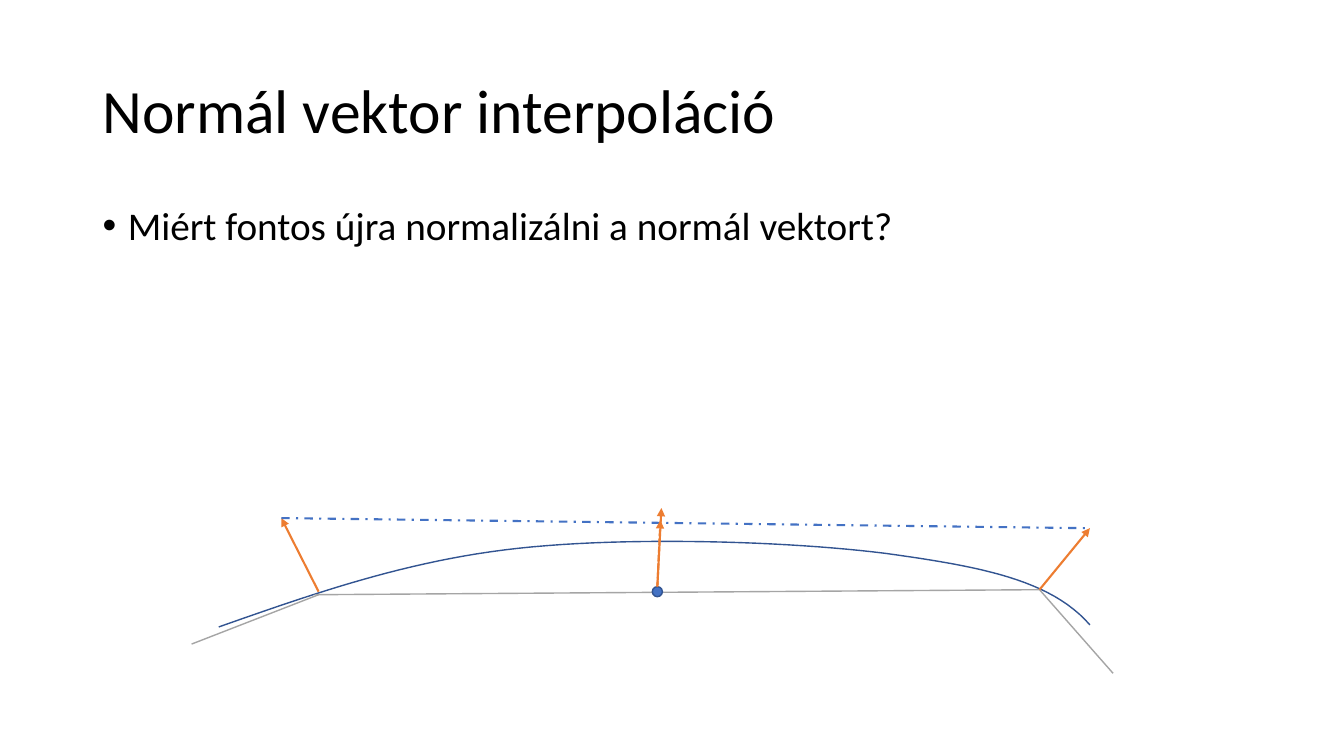
import pptx
import pptx.dml.color
import pptx.enum.dml
import pptx.enum.shapes
import pptx.enum.text
import pptx.oxml
import pptx.oxml.ns
import pptx.util

Inches = pptx.util.Inches
Dash = pptx.enum.dml.MSO_LINE
Anchor = pptx.enum.text.MSO_ANCHOR

COLORS = {
    "text": "000000",
    "surface": "325491",
    "facet": "A5A5A5",
    "normal": "ED7D31",
    "blend": "4472C4",
}
FRAME = {"word_wrap": True}
FONT = {"name": "Calibri"}
CURVE_STEPS = 24


def color(name):
    return pptx.dml.color.RGBColor.from_string(COLORS[name])


def apply(target, values):
    for attribute, value in values.items():
        setattr(target, attribute, value)


def add_element(parent, tag, **attributes):
    element = pptx.oxml.parse_xml(f"<a:{tag} {pptx.oxml.ns.nsdecls('a')}/>")
    for key, value in attributes.items():
        element.set(key, value)
    parent.append(element)


def add_words(slide, box, words, size, anchor, bullet=None):
    frame = slide.shapes.add_textbox(*map(Inches, box)).text_frame
    apply(frame, {**FRAME, "vertical_anchor": anchor})
    paragraph = frame.paragraphs[0]
    paragraph.text = words
    paragraph.line_spacing = 0.9
    if bullet:
        properties = paragraph._p.get_or_add_pPr()
        indents = {"marL": Inches(0.25), "indent": Inches(-0.25)}
        for key, value in indents.items():
            properties.set(key, str(value))
        add_element(properties, "buFont", typeface="Arial")
        add_element(properties, "buChar", char=bullet)
    apply(paragraph.font, {**FONT, "size": pptx.util.Pt(size)})
    paragraph.font.color.rgb = color("text")


def style_line(line, name, width, dash=None):
    line.color.rgb = color(name)
    apply(line, {"width": pptx.util.Pt(width), "dash_style": dash})


def add_segment(slide, start, end, name, width, dash=None, arrow=False):
    segment = slide.shapes.add_connector(
        pptx.enum.shapes.MSO_CONNECTOR.STRAIGHT, *map(Inches, (*start, *end)))
    style_line(segment.line, name, width, dash)
    if arrow:
        add_element(segment.line._get_or_add_ln(), "tailEnd", type="triangle")
    add_element(segment._element.spPr, "effectLst")


def bezier_point(controls, t):
    weights = ((1 - t) ** 3, 3 * t * (1 - t) ** 2, 3 * t * t * (1 - t), t ** 3)
    return tuple(Inches(sum(w * p[axis] for w, p in zip(weights, controls)))
                 for axis in (0, 1))


def add_surface(slide, controls):
    points = [bezier_point(controls[:4], 0)]
    for first in range(0, len(controls) - 1, 3):
        points += [bezier_point(controls[first:first + 4], step / CURVE_STEPS)
                   for step in range(1, CURVE_STEPS + 1)]
    builder = slide.shapes.build_freeform(*points[0])
    builder.add_line_segments(points[1:], close=False)
    surface = builder.convert_to_shape()
    surface.shadow.inherit = False
    surface.fill.background()
    style_line(surface.line, "surface", 1)


def add_sample(slide, center, diameter):
    x, y = center
    sample = slide.shapes.add_shape(
        pptx.enum.shapes.MSO_SHAPE.OVAL,
        *map(Inches, (x - diameter / 2, y - diameter / 2, diameter, diameter)))
    sample.shadow.inherit = False
    sample.fill.solid()
    sample.fill.fore_color.rgb = color("blend")
    style_line(sample.line, "surface", 1)


def add_diagram(slide, left, top):
    def at(x, y):
        return left + x, top + y

    left_vertex, right_vertex = at(1.26, 0.86), at(8.41, 0.81)
    left_tip, right_tip = at(0.89, 0.1), at(8.91, 0.2)
    sample_base = at(4.62, 0.78)

    add_surface(slide, [at(*point) for point in (
        (0.27, 1.18), (1.21, 0.85), (2.14, 0.52), (3.24, 0.4), (4.34, 0.28),
        (5.93, 0.33), (6.88, 0.45), (7.82, 0.58), (8.52, 0.71), (8.91, 1.16))])
    for start, end in ((at(1.22, 0.86), right_vertex),
                       (right_vertex, at(9.14, 1.64)),
                       (left_vertex, at(0, 1.35))):
        add_segment(slide, start, end, "facet", 1)
    for start, end in ((at(1.26, 0.83), left_tip), (right_vertex, right_tip)):
        add_segment(slide, start, end, "normal", 1.5, arrow=True)
    add_sample(slide, at(4.62, 0.83), 0.1)
    add_segment(slide, left_tip, at(8.87, 0.2), "blend", 1.5, Dash.DASH_DOT)
    for tip, dash in ((at(4.65, 0.12), Dash.SQUARE_DOT), (at(4.66, 0), None)):
        add_segment(slide, sample_base, tip, "normal", 1.5, dash, True)


def main():
    deck = pptx.Presentation()
    apply(deck, {"slide_width": Inches(13.33), "slide_height": Inches(7.5)})
    slide = deck.slides.add_slide(deck.slide_layouts[6])
    add_words(slide, (0.92, 0.4, 11.5, 1.45), "Normál vektor interpoláció",
              44, Anchor.MIDDLE)
    add_words(slide, (0.92, 2, 11.5, 4.76),
              "Miért fontos újra normalizálni a normál vektort?",
              28, Anchor.TOP, "•")
    add_diagram(slide, 1.9, 5.04)
    deck.save("out.pptx")


if __name__ == "__main__":
    main()
